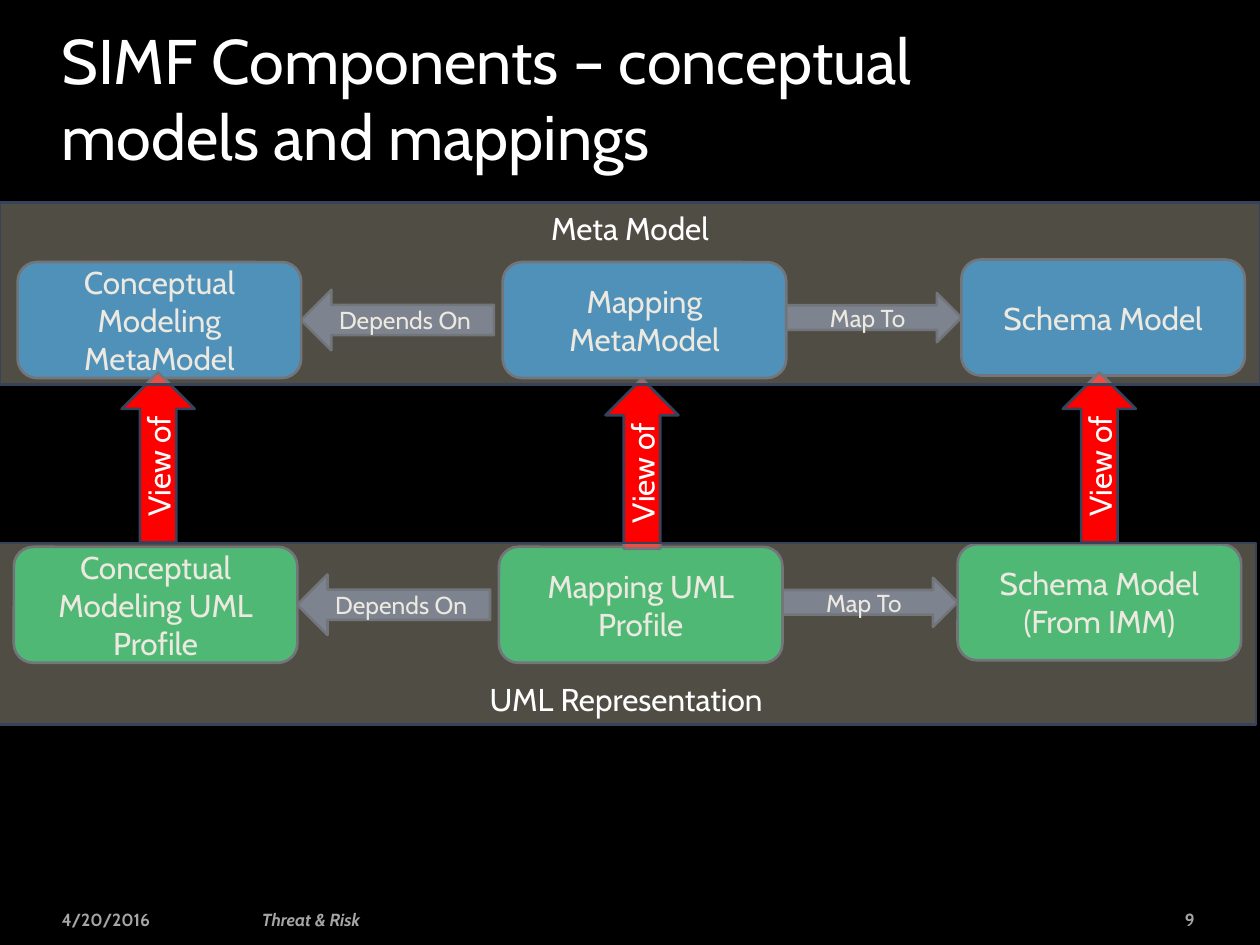
from lxml import etree
from pptx import Presentation
from pptx.dml.color import RGBColor
from pptx.enum.shapes import MSO_SHAPE
from pptx.enum.text import MSO_ANCHOR, PP_ALIGN
from pptx.oxml.ns import qn
from pptx.util import Inches, Pt

FONT = "Cabin"
WHITE, GREY, BLACK = "FFFFFF", "A6A6A6", "000000"
BLUE, GREEN, RED = "0070C0", "00B050", "FF0000"
SLATE, OUTLINE, BAND = "4A5A7A", "37435A", "D0C7B1"
BOX_W, BOX_H = 2.25, 0.92


def rgb(value):
    return RGBColor.from_string(value)


def write(sp, text, size, color=WHITE, align=PP_ALIGN.CENTER,
          anchor=MSO_ANCHOR.MIDDLE, bold=None, italic=None):
    tf = sp.text_frame
    tf.word_wrap = True
    tf.vertical_anchor = anchor
    tf.text = text
    for p in tf.paragraphs:
        p.alignment = align
        for r in p.runs:
            r.font.name, r.font.size = FONT, Pt(size)
            r.font.bold, r.font.italic = bold, italic
            r.font.color.rgb = rgb(color)


def add_text(s, box, text, size, **style):
    sp = s.shapes.add_textbox(*map(Inches, box))
    write(sp, text, size, align=style.pop("align", PP_ALIGN.LEFT), **style)
    return sp


def add_block(s, kind, box, fill, text, size=18, anchor=MSO_ANCHOR.MIDDLE):
    sp = s.shapes.add_shape(kind, *map(Inches, box))
    sp.shadow.inherit = False
    sp.fill.solid()
    sp.fill.fore_color.rgb = rgb(fill)
    sp.line.color.rgb = rgb(OUTLINE)
    sp.line.width = Pt(1.5)
    write(sp, text, size, anchor=anchor)
    return sp


def add_title(s, box):
    sp = add_text(s, box, "SIMF Components – conceptual models and mappings", 36,
                  anchor=MSO_ANCHOR.BOTTOM)
    sp.text_frame.paragraphs[0].space_before = Pt(4)


def add_model_row(s, left, top, fill, names):
    """Three model boxes, with an arrow from the middle one to each neighbour."""
    for (dx, dy), name in zip([(0, 0.02), (3.85, 0.02), (7.49, 0)], names):
        add_block(s, MSO_SHAPE.ROUNDED_RECTANGLE,
                  (left + dx, top + dy, BOX_W, BOX_H), fill, name)
    add_block(s, MSO_SHAPE.LEFT_ARROW, (left + BOX_W, top + 0.24, 1.53, 0.48),
              SLATE, "Depends On", 14)
    add_block(s, MSO_SHAPE.RIGHT_ARROW, (left + 6.1, top + 0.265, 1.39, 0.39),
              SLATE, "Map To", 14)


def add_view_arrows(s, top):
    for left, dy in [(0.58, 0), (4.42, 0.05), (8.05, 0)]:
        sp = add_block(s, MSO_SHAPE.RIGHT_ARROW, (left, top + dy, 1.35, 0.58),
                       RED, "View of")
        sp.rotation = 270


def add_band(s, box, label, anchor):
    """Translucent band laid over a row of models."""
    sp = add_block(s, MSO_SHAPE.RECTANGLE, box, BAND, label, anchor=anchor)
    color = sp.fill._xPr.find(qn("a:solidFill"))[0]
    etree.SubElement(color, qn("a:alpha")).set("val", "39000")


def add_footer(s, top):
    for left, width, text, align, italic in [
            (0.39, 1.6, "4/20/2016", PP_ALIGN.LEFT, None),
            (1.98, 4.47, "Threat & Risk", PP_ALIGN.LEFT, True),
            (8.62, 0.96, "9", PP_ALIGN.RIGHT, None)]:
        add_text(s, (left, top, width, 0.27), text, 10, color=GREY,
                 align=align, bold=True, italic=italic)


def main():
    prs = Presentation()
    prs.slide_width, prs.slide_height = Inches(10), Inches(7.5)
    s = prs.slides.add_slide(prs.slide_layouts[6])
    s.background.fill.solid()
    s.background.fill.fore_color.rgb = rgb(BLACK)

    add_footer(s, 7.16)
    add_title(s, (0.39, 0.25, 8.4, 1.17))
    add_model_row(s, 0.11, 4.32, GREEN, [
        "Conceptual Modeling UML Profile", "Mapping UML Profile",
        "Schema Model\n(From IMM)"])
    add_model_row(s, 0.14, 2.06, BLUE, [
        "Conceptual Modeling MetaModel", "Mapping MetaModel", "Schema Model"])
    add_view_arrows(s, 3.34)
    add_band(s, (0, 1.61, 10, 1.44), "Meta Model", MSO_ANCHOR.TOP)
    add_band(s, (-0.03, 4.31, 10, 1.44), "UML Representation", MSO_ANCHOR.BOTTOM)
    prs.save("out.pptx")


if __name__ == "__main__":
    main()
